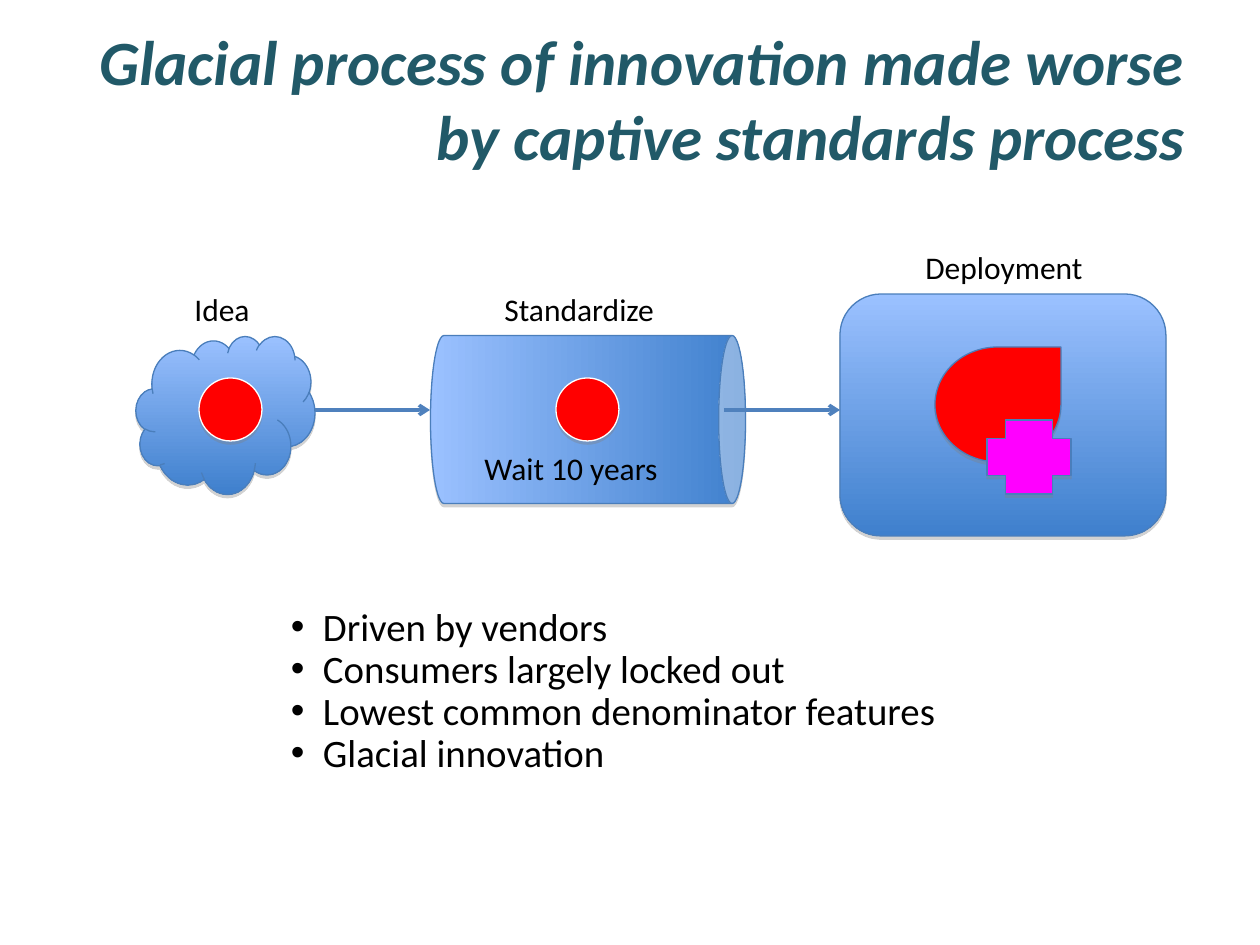
from dataclasses import dataclass
from typing import Optional

from lxml import etree
from pptx import Presentation
from pptx import util as u
from pptx.dml.color import RGBColor
from pptx.enum import shapes, text
from pptx.oxml.ns import qn

EMU_PER_PX = 914400 / 126
FONT = "Calibri"
TEAL = RGBColor(0x21, 0x59, 0x68)
BLACK = RGBColor(0, 0, 0)
WHITE = RGBColor(0xFF, 0xFF, 0xFF)
RED = RGBColor(0xFF, 0, 0)
MAGENTA = RGBColor(0xFF, 0, 0xFF)
SKY = RGBColor(0x9B, 0xC1, 0xFF)
BLUE = RGBColor(0x3F, 0x80, 0xCD)
OUTLINE = RGBColor(0x4A, 0x7E, 0xBB)
ARROW = RGBColor(0x4F, 0x81, 0xBD)
KIND = shapes.MSO_SHAPE


@dataclass(frozen=True)
class Box:
    x: int
    y: int
    w: int
    h: int

    def emu(self) -> tuple[int, ...]:
        return tuple(px(v) for v in (self.x, self.y, self.w, self.h))


@dataclass(frozen=True)
class Figure:
    kind: KIND
    box: Box
    fill: Optional[RGBColor] = None
    line: RGBColor = OUTLINE
    adj: Optional[float] = None
    rotation: int = 0
    angle: int = 270


@dataclass(frozen=True)
class Arrow:
    x1: int
    x2: int
    y: int


@dataclass(frozen=True)
class Label:
    words: str
    box: Box
    wrap: bool = False


TITLE = "Glacial process of innovation made worse by captive standards process"
STAGES = [
    Figure(KIND.CLOUD, Box(136, 336, 179, 158)),
    Arrow(315, 430, 410),
    Figure(KIND.CAN, Box(504, 262, 168, 315), adj=0.16, rotation=90, angle=0),
    Figure(KIND.OVAL, Box(199, 378, 63, 63), RED, WHITE),
    Arrow(724, 840, 410),
    Figure(KIND.ROUNDED_RECTANGLE, Box(840, 294, 326, 242), adj=0.17),
    Figure(KIND.TEAR, Box(935, 347, 126, 115), RED),
    Figure(KIND.CROSS, Box(987, 420, 84, 74), MAGENTA, adj=0.25),
    Figure(KIND.OVAL, Box(556, 378, 63, 63), RED, WHITE),
]
LABELS = [
    Label("Deployment", Box(913, 242, 183, 51)),
    Label("Idea", Box(182, 284, 80, 51)),
    Label("Standardize", Box(492, 284, 176, 51)),
    Label("Wait 10 years", Box(472, 443, 284, 51), wrap=True),
]
POINTS = [
    "Driven by vendors",
    "Consumers largely locked out",
    "Lowest common denominator features",
    "Glacial innovation",
]


def px(value: int) -> int:
    return round(value * EMU_PER_PX)


def style_runs(p, size: float, color: RGBColor, strong: bool = False) -> None:
    for r in p.runs:
        r.font.name = FONT
        r.font.size = u.Pt(size)
        r.font.color.rgb = color
        r.font.bold = r.font.italic = strong


def add_shadow(s) -> None:
    s.shadow.inherit = False
    effects = s._element.spPr.find(qn("a:effectLst"))
    shadow = etree.SubElement(
        effects, qn("a:outerShdw"), blurRad="0", dist=str(u.Pt(1.8)),
        dir="5400000", rotWithShape="0")
    color = etree.SubElement(shadow, qn("a:srgbClr"), val="808080")
    etree.SubElement(color, qn("a:alpha"), val="35000")


def draw_figure(sp, fig: Figure) -> None:
    s = sp.add_shape(fig.kind, *fig.box.emu())
    s.rotation = fig.rotation
    if fig.adj is not None:
        s.adjustments[0] = fig.adj
    if fig.fill is not None:
        s.fill.solid()
        s.fill.fore_color.rgb = fig.fill
    else:
        s.fill.gradient()
        s.fill.gradient_angle = fig.angle
        for stop, color in zip(s.fill.gradient_stops, (SKY, BLUE)):
            stop.color.rgb = color
        s._element.spPr.find(qn("a:gradFill")).set("rotWithShape", "0")
    s.line.color.rgb = fig.line
    s.line.width = u.Pt(0.75)
    add_shadow(s)


def draw_arrow(sp, arrow: Arrow) -> None:
    c = sp.add_connector(
        shapes.MSO_CONNECTOR.STRAIGHT,
        px(arrow.x1), px(arrow.y), px(arrow.x2), px(arrow.y))
    c.line.color.rgb = ARROW
    c.line.width = u.Pt(2)
    etree.SubElement(c.line._get_or_add_ln(), qn("a:tailEnd"), type="arrow")
    etree.SubElement(c._element.spPr, qn("a:effectLst"))


def draw_label(sp, label: Label) -> None:
    tf = sp.add_textbox(*label.box.emu()).text_frame
    tf.word_wrap = label.wrap
    tf.auto_size = text.MSO_AUTO_SIZE.SHAPE_TO_FIT_TEXT
    tf.text = label.words
    style_runs(tf.paragraphs[0], 18, BLACK)


def draw_points(sp, points: list[str], box: Box) -> None:
    tf = sp.add_textbox(*box.emu()).text_frame
    tf.word_wrap = True
    tf.vertical_anchor = text.MSO_ANCHOR.MIDDLE
    tf.margin_left = px(50)
    tf.text = "\n".join(points)
    for p in tf.paragraphs:
        pPr = p._p.get_or_add_pPr()
        pPr.set("marL", str(px(32)))
        pPr.set("indent", str(-px(32)))
        etree.SubElement(pPr, qn("a:buFont"), typeface="Arial")
        etree.SubElement(pPr, qn("a:buChar"), char="•")
        p.line_spacing = 0.9
        style_runs(p, 22.2, BLACK)


def set_title(s, words: str, box: Box) -> None:
    s.left, s.top, s.width, s.height = box.emu()
    tf = s.text_frame
    tf.auto_size = text.MSO_AUTO_SIZE.NONE
    tf.vertical_anchor = text.MSO_ANCHOR.MIDDLE
    tf.text = words
    p = tf.paragraphs[0]
    p.alignment = text.PP_ALIGN.RIGHT
    style_runs(p, 36, TEAL, strong=True)


def main() -> None:
    prs = Presentation()
    prs.slide_width, prs.slide_height = px(1260), px(945)
    sp = prs.slides.add_slide(prs.slide_layouts[5]).shapes
    set_title(sp.title, TITLE, Box(63, 38, 1134, 120))
    for item in STAGES:
        if isinstance(item, Arrow):
            draw_arrow(sp, item)
        else:
            draw_figure(sp, item)
    for label in LABELS:
        draw_label(sp, label)
    draw_points(sp, POINTS, Box(241, 585, 925, 213))
    prs.save("out.pptx")


if __name__ == "__main__":
    main()
